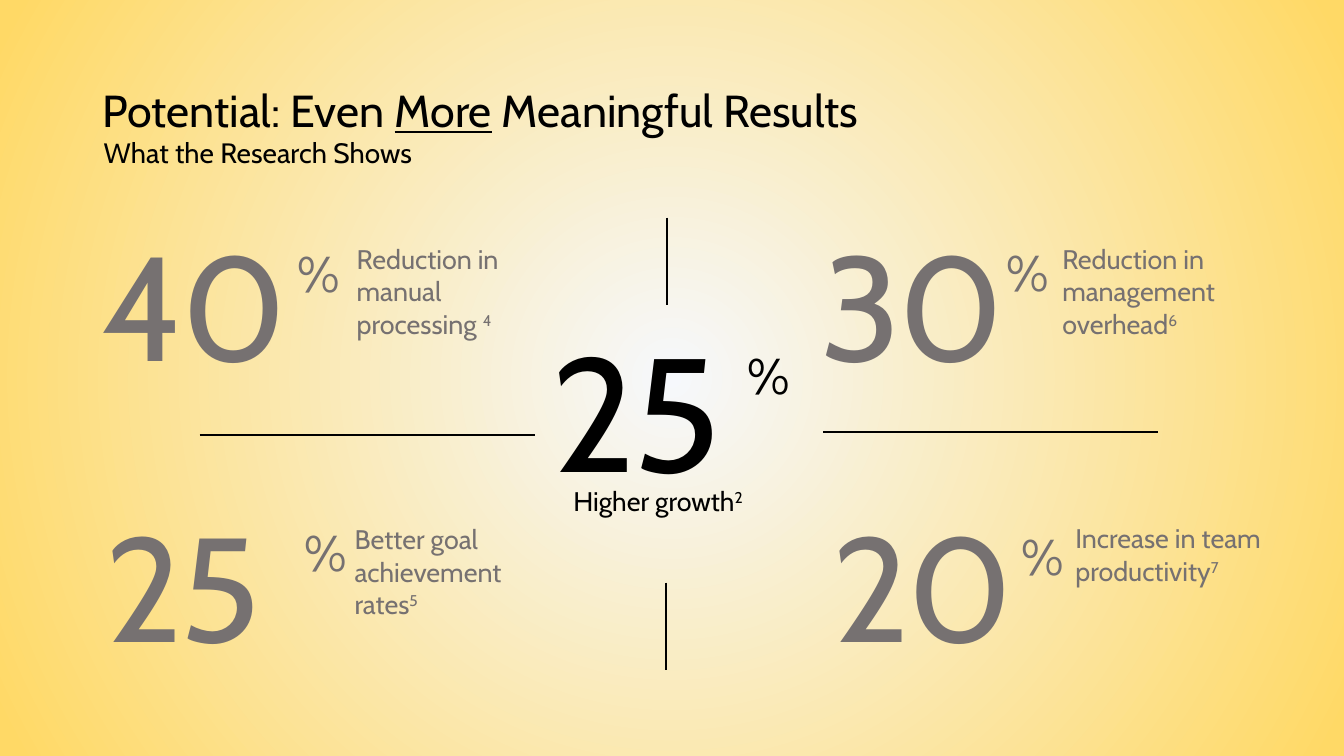
from lxml.etree import SubElement
from pptx import Presentation
from pptx.dml.color import RGBColor
from pptx.enum.shapes import MSO_CONNECTOR, MSO_SHAPE
from pptx.enum.text import MSO_ANCHOR
from pptx.oxml import parse_xml
from pptx.oxml.ns import nsdecls, qn
from pptx.util import Pt

WIDTH, HEIGHT = 960, 540
COLORS = {"black": "000000", "gray": "767171", "center": "F6F8FC", "edge": "FFD966"}


class Deck:
    font = "Cabin"

    def __init__(self):
        self.prs = Presentation()
        self.prs.slide_width, self.prs.slide_height = Pt(WIDTH), Pt(HEIGHT)
        self.s = self.prs.slides.add_slide(self.prs.slide_layouts[6])

    def background(self, inner, outer):
        sp = self.s.shapes.add_shape(MSO_SHAPE.RECTANGLE, 0, 0, Pt(WIDTH), Pt(HEIGHT))
        sp.shadow.inherit = False
        sp.line.fill.background()
        sp.fill.background()
        no_fill = sp._element.spPr.find(qn("a:noFill"))
        no_fill.getparent().replace(no_fill, parse_xml(
            f'<a:gradFill {nsdecls("a")} rotWithShape="1"><a:gsLst>'
            f'<a:gs pos="0"><a:srgbClr val="{COLORS[inner]}"/></a:gs>'
            f'<a:gs pos="98000"><a:srgbClr val="{COLORS[outer]}"/></a:gs></a:gsLst>'
            '<a:path path="circle"><a:fillToRect l="50000" t="50000" r="50000" b="50000"/>'
            '</a:path></a:gradFill>'))

    def text(self, x, y, w, h, runs, size, color="black"):
        """Each run is a pair: its text and a dict of extra run attributes."""
        tf = self.s.shapes.add_textbox(Pt(x), Pt(y), Pt(w), Pt(h)).text_frame
        for name, value in {"word_wrap": True, "vertical_anchor": MSO_ANCHOR.TOP}.items():
            setattr(tf, name, value)
        p = tf.paragraphs[0]
        for content, extras in runs:
            r = p.add_run()
            r.text = content
            for name, value in {"name": self.font, "size": Pt(size)}.items():
                setattr(r.font, name, value)
            r.font.color.rgb = RGBColor.from_string(COLORS[color])
            for name, value in extras.items():
                r._r.get_or_add_rPr().set(name, value)

    def line(self, x1, y1, x2, y2):
        c = self.s.shapes.add_connector(MSO_CONNECTOR.STRAIGHT, Pt(x1), Pt(y1), Pt(x2), Pt(y2))
        c.line.width = Pt(1.5)
        c.line.color.rgb = RGBColor.from_string(COLORS["black"])
        SubElement(c._element.spPr, qn("a:effectLst"))

    def stat(self, number, percent, label, color="gray", size=105.6):
        """Large figure, percent sign and a label with a footnote mark."""
        value, x, y, w = number
        self.text(x, y, w, size * 1.215 + 7.2, [(value, {"spc": "-180"})], size, color)
        self.text(*percent, 47.5, 51, [("%", {})], 36, color)
        words, note, x, y, w, rows = label
        self.text(x, y, w, 7.2 + 23.3 * rows,
                  [(words, {}), (note, {"baseline": "30000"})], 19.2, color)


def main():
    deck = Deck()
    deck.background("center", "edge")

    # Heading
    deck.text(66.2, 55.4, 828, 104.4, [("Potential: Even ", {}), ("More", {"u": "sng"}),
                                       (" Meaningful Results", {})], 32)
    deck.text(67, 93.6, 257, 31.7, [("What the Research Shows", {})], 20)

    # Four outer figures
    for number, percent, label in [
        (("40", 65.5, 149, 157.7), (205.2, 169.2),
         ("Reduction in manual processing ", "4", 247.7, 169.9, 136.1, 3)),
        (("30", 579, 149, 152.6), (712, 168.5),
         ("Reduction in management overhead", "6", 751.7, 169.9, 144.7, 3)),
        (("25", 68.4, 349.9, 152.6), (210.2, 368.6),
         ("Better goal achievement rates", "5", 246.2, 370.1, 165.6, 3)),
        (("20", 587.5, 349.9, 152.6), (722.9, 371.5),
         ("Increase in team productivity", "7", 761, 369.4, 167, 2)),
    ]:
        deck.stat(number, percent, label)

    # Central figure
    deck.stat(("25", 386.6, 218.9, 165.6), (527, 241.9),
              ("Higher growth", "2", 402.5, 342.7, 161.3, 1), "black", 115.2)

    # Dividers
    for ends in [(142.6, 310.5, 382.3, 310.5), (588.2, 308.7, 827.5, 308.7),
                 (476.6, 155.5, 476.6, 218.2), (476, 416.2, 476, 478.8)]:
        deck.line(*ends)

    deck.prs.save("out.pptx")


if __name__ == "__main__":
    main()
